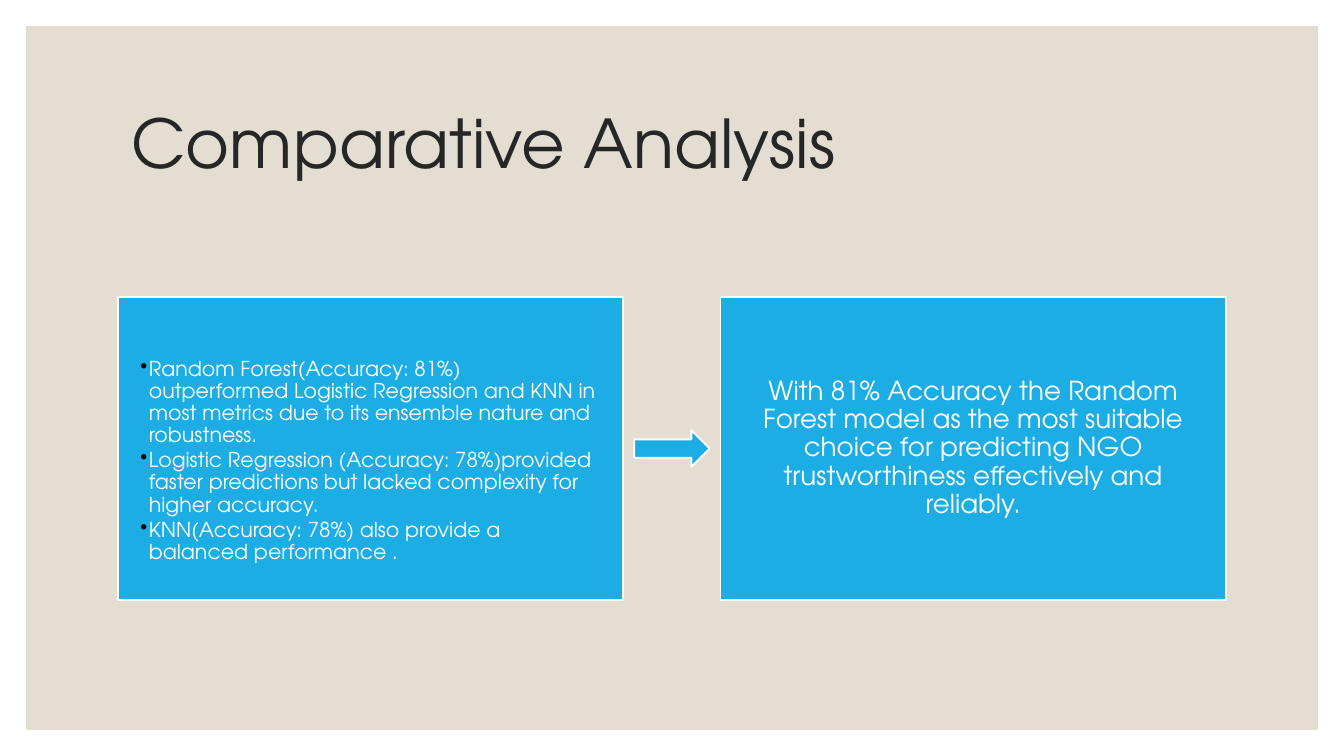
from lxml import etree
from pptx import Presentation
from pptx.dml.color import RGBColor
from pptx.enum.shapes import MSO_SHAPE
from pptx.enum.text import MSO_ANCHOR, PP_ALIGN
from pptx.oxml.ns import qn
from pptx.util import Pt

RECTANGLE, ARROW = MSO_SHAPE.RECTANGLE, MSO_SHAPE.RIGHT_ARROW
TOP, MIDDLE = MSO_ANCHOR.TOP, MSO_ANCHOR.MIDDLE
LEFT, CENTER = PP_ALIGN.LEFT, PP_ALIGN.CENTER

COLORS = {"backdrop": "E3DED1", "accent": "1CADE4", "title": "262626",
          "white": "FFFFFF", "bullet": "000000"}
SLIDE_W, SLIDE_H = 720, 405
MARGIN = 14
CARD_X, CARD_Y, CARD_W, CARD_H = 63.2, 159, 270.8, 162.6
ARROW_W, ARROW_H = 40.4, 19.6
CARD_INSET, FINDINGS_TOP = 12, 33
BULLET_INDENT = 4.5

FINDINGS = [
    "Random Forest(Accuracy: 81%) outperformed Logistic Regression and KNN in "
    "most metrics due to its ensemble nature and robustness.",
    "Logistic Regression (Accuracy: 78%)provided faster predictions but lacked "
    "complexity for higher accuracy.",
    "KNN(Accuracy: 78%) also provide a balanced performance .",
]
CONCLUSION = ("With 81% Accuracy the Random Forest model as the most suitable "
              "choice for predicting NGO trustworthiness effectively and reliably.")


class SlideBuilder:
    font = "TeX Gyre Adventor"
    line_spacing = 0.9

    def __init__(self, slide):
        self.slide = slide

    def color(self, name):
        return RGBColor.from_string(COLORS[name])

    def block(self, kind, box, fill, outline=None):
        block = self.slide.shapes.add_shape(kind, *map(Pt, box))
        block.shadow.inherit = False
        block.fill.solid()
        block.fill.fore_color.rgb = self.color(fill)
        if outline:
            block.line.color.rgb = self.color(outline)
            block.line.width = Pt(1)
        else:
            block.line.fill.background()
        return block

    def title(self, text, box):
        holder = self.slide.shapes.add_textbox(*map(Pt, box))
        self.set_text(holder.text_frame, [text], 36, "title", LEFT, MIDDLE)

    def card(self, box, texts, size, align, anchor, top=CARD_INSET, bullets=False):
        frame = self.block(RECTANGLE, box, "accent", "white").text_frame
        margins = {"margin_left": CARD_INSET, "margin_right": CARD_INSET,
                   "margin_top": top, "margin_bottom": CARD_INSET}
        for side, value in margins.items():
            setattr(frame, side, Pt(value))
        self.set_text(frame, texts, size, "white", align, anchor)
        if bullets:
            for paragraph in frame.paragraphs:
                paragraph.space_after = Pt(1.6)
                self.bullet(paragraph)

    def set_text(self, frame, texts, size, color, align, anchor):
        frame.word_wrap = True
        frame.vertical_anchor = anchor
        frame.text = "\n".join(texts)
        for paragraph in frame.paragraphs:
            paragraph.alignment = align
            paragraph.line_spacing = self.line_spacing
            font = paragraph.runs[0].font
            for key, value in {"name": self.font, "size": Pt(size)}.items():
                setattr(font, key, value)
            font.color.rgb = self.color(color)

    def bullet(self, paragraph):
        properties = paragraph._p.get_or_add_pPr()
        properties.set("marL", str(Pt(BULLET_INDENT)))
        properties.set("indent", str(-Pt(BULLET_INDENT)))
        bullet_color = etree.SubElement(properties, qn("a:buClr"))
        etree.SubElement(bullet_color, qn("a:srgbClr"), val=COLORS["bullet"])
        etree.SubElement(properties, qn("a:buChar"), char="•")


def main():
    presentation = Presentation()
    presentation.slide_width, presentation.slide_height = Pt(SLIDE_W), Pt(SLIDE_H)
    builder = SlideBuilder(presentation.slides.add_slide(presentation.slide_layouts[6]))

    builder.block(RECTANGLE, (MARGIN, MARGIN, SLIDE_W - 2 * MARGIN,
                              SLIDE_H - 2 * MARGIN), "backdrop")
    builder.title("Comparative Analysis", (CARD_X, 38, SLIDE_W - 2 * CARD_X, 81))

    builder.card((CARD_X, CARD_Y, CARD_W, CARD_H), FINDINGS, 11, LEFT, TOP,
                 top=FINDINGS_TOP, bullets=True)
    builder.block(ARROW, ((SLIDE_W - ARROW_W) / 2, CARD_Y + (CARD_H - ARROW_H) / 2,
                          ARROW_W, ARROW_H), "accent", "white")
    builder.card((SLIDE_W - CARD_X - CARD_W, CARD_Y, CARD_W, CARD_H),
                 [CONCLUSION], 14, CENTER, MIDDLE)

    presentation.save("out.pptx")


if __name__ == "__main__":
    main()
